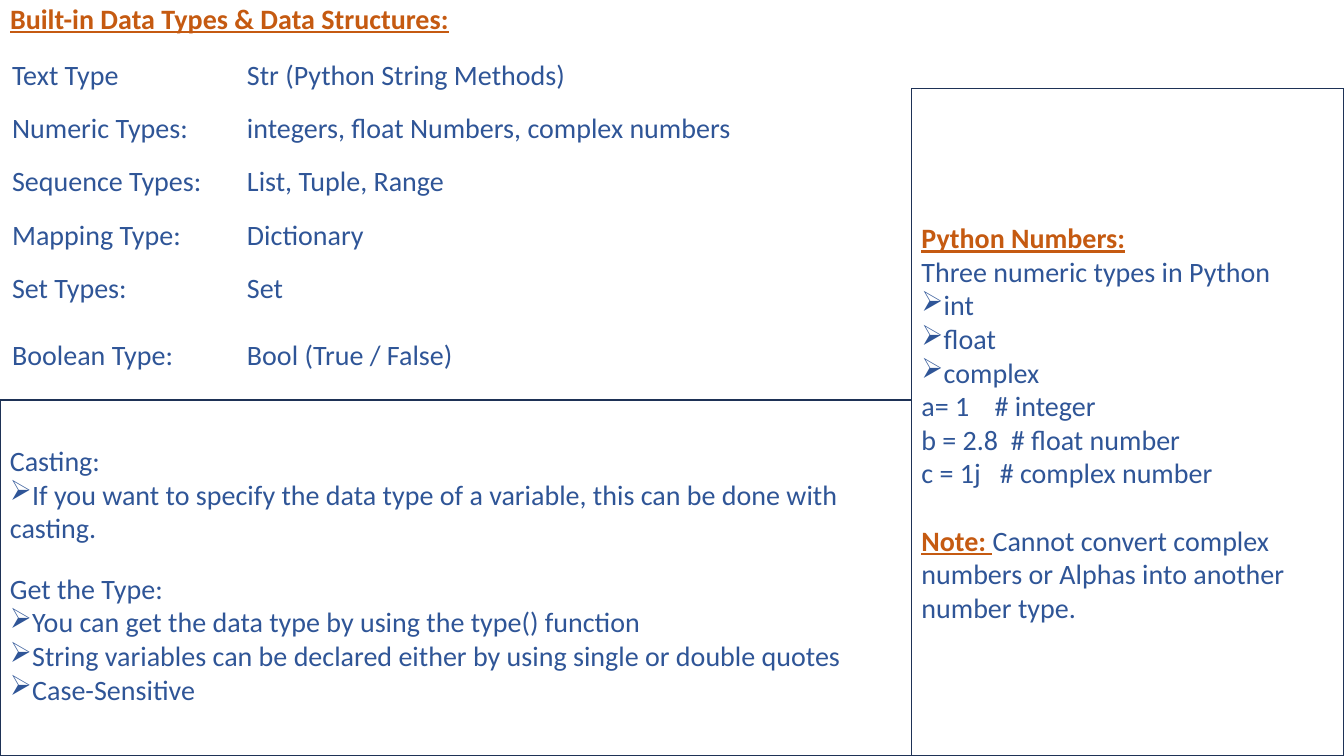
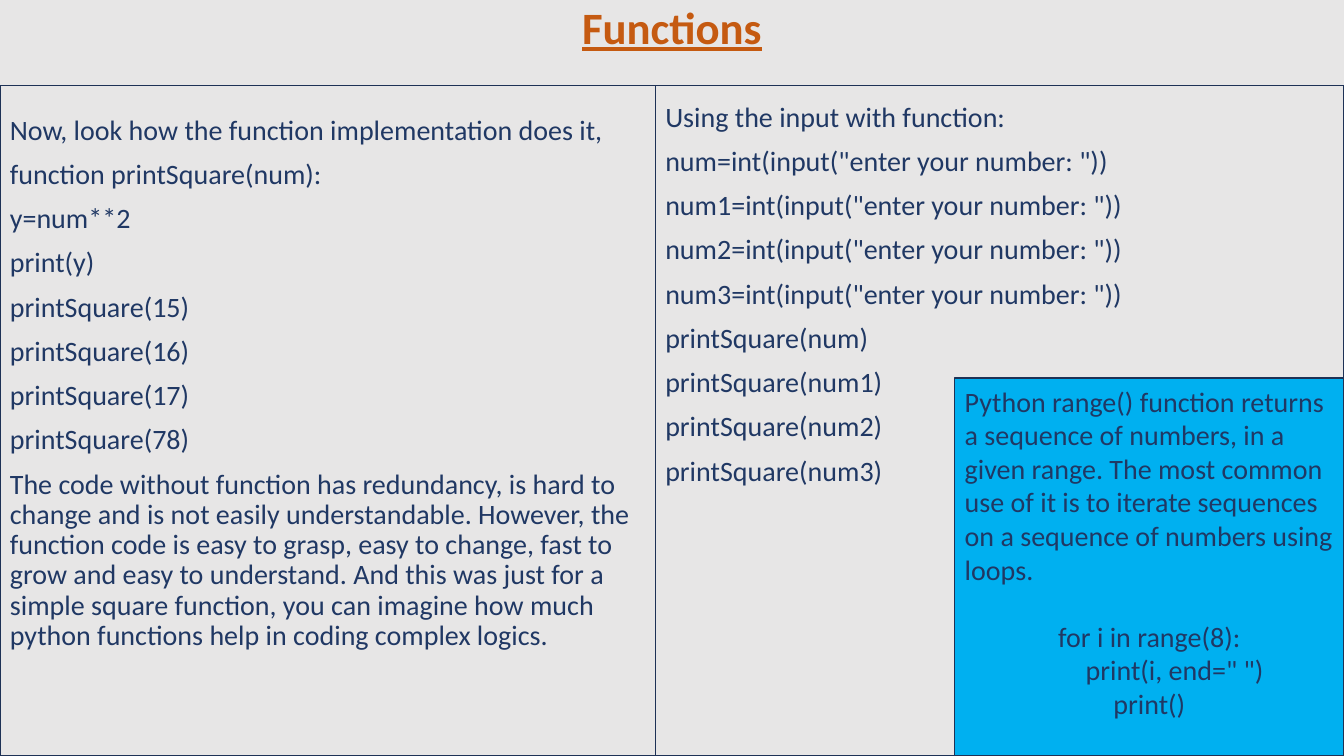
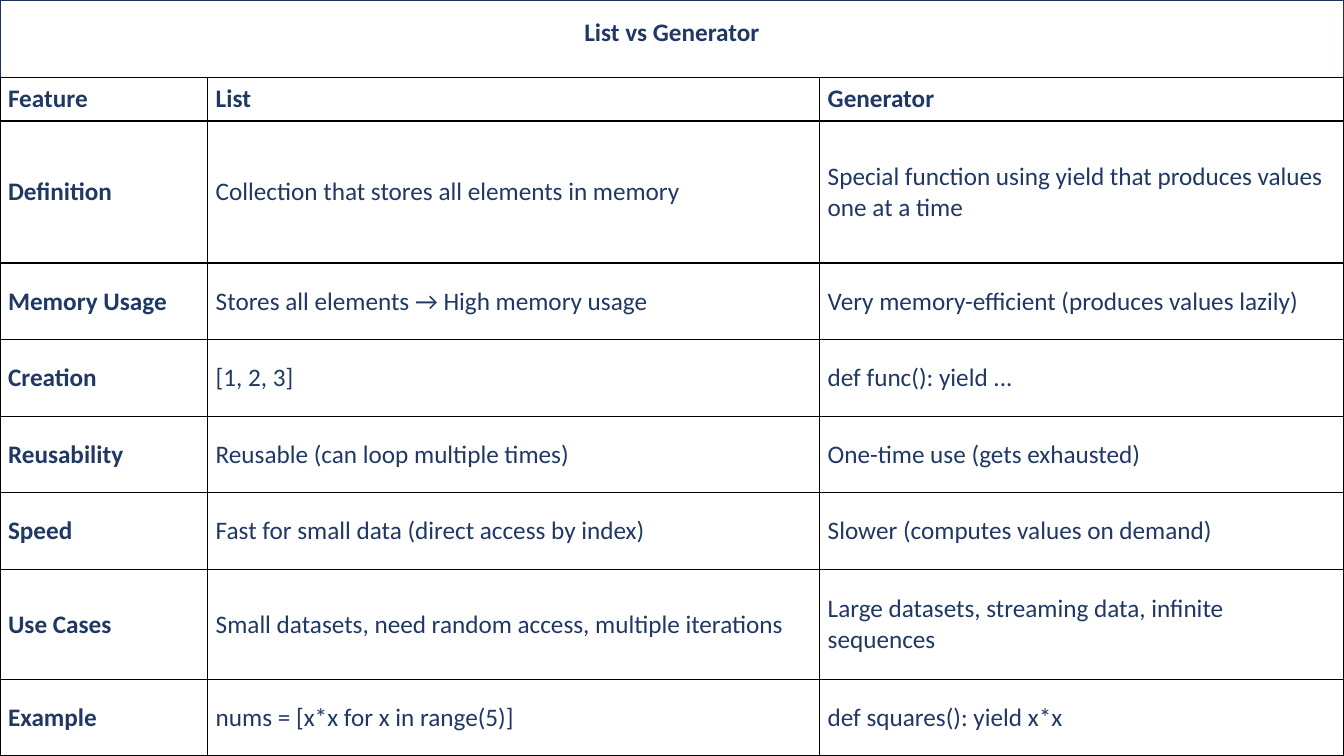
"""Build three slides on Python data types, functions and generators."""
from lxml import etree
from pptx import Presentation
from pptx import util as u
from pptx.dml.color import RGBColor
from pptx.enum import shapes, text
from pptx.oxml.ns import qn

WIDTH, HEIGHT = 13.33, 7.5
FONT = "Calibri"
ORANGE, BLUE, NAVY, BORDER = "C55A11", "2F5597", "203864", "1E3256"
WHITE, GREY, SKY, BLACK = "FFFFFF", "E7E6E6", "00B0F0", "000000"
HEADING = dict(color=ORANGE, bold=True, underline=True)
BULLET = dict(bullet="➢")
BLOCK_GAP = 24
CENTER = text.PP_ALIGN.CENTER
TOP, MIDDLE = text.MSO_ANCHOR.TOP, text.MSO_ANCHOR.MIDDLE

DATA_TYPES = [
    ("Text Type", "Str (Python String Methods)"),
    ("Numeric Types:", "integers, float Numbers, complex numbers"),
    ("Sequence Types:", "List, Tuple, Range"),
    ("Mapping Type:", "Dictionary"),
    ("Set Types:", "Set"),
    ("Boolean Type:", "Bool (True / False)"),
]
CASTING = [
    ("Casting:", dict(spacing=0.8)),
    ("If you want to specify the data type of a variable, this can be done with casting.", BULLET),
    ("Get the Type:", dict(spacing=0.8, before=BLOCK_GAP)),
    ("You can get the data type by using the type() function", BULLET),
    ("String variables can be declared either by using single or double quotes", BULLET),
    ("Case-Sensitive", BULLET),
]
NUMBERS = [
    ("Python Numbers:", HEADING),
    "Three numeric types in Python",
    ("int", BULLET),
    ("float", BULLET),
    ("complex", BULLET),
    "a= 1    # integer",
    "b = 2.8  # float number",
    "c = 1j   # complex number",
    ([("Note: ", HEADING),
      ("Cannot convert complex numbers or Alphas into another number type.", {})],
     dict(before=BLOCK_GAP)),
]
FUNCTION_CODE = [
    "Now, look how the function implementation does it,",
    "function printSquare(num):",
    "y=num**2",
    "print(y)",
    *[f"printSquare({number})" for number in (15, 16, 17, 78)],
    "The code without function has redundancy, is hard to change and is not easily "
    "understandable. However, the function code is easy to grasp, easy to change, fast to "
    "grow and easy to understand. And this was just for a simple square function, you can "
    "imagine how much python functions help in coding complex logics.",
]
VARIABLES = ("num", "num1", "num2", "num3")
INPUT_CODE = [
    "Using the input with function:",
    *[f'{name}=int(input("enter your number: "))' for name in VARIABLES],
    *[f"printSquare({name})" for name in VARIABLES],
]
RANGE_NOTE = [
    "Python range() function returns a sequence of numbers, in a given range. The most common "
    "use of it is to iterate sequences on a sequence of numbers using loops.",
    ("for i in range(8):", dict(align=CENTER, before=BLOCK_GAP)),
    ('\tprint(i, end=" ")', dict(align=CENTER)),
    ("print()", dict(align=CENTER)),
]
COMPARISON = [
    ("Feature", "List", "Generator"),
    ("Definition", "Collection that stores all elements in memory",
     "Special function using yield that produces values one at a time"),
    ("Memory Usage", "Stores all elements → High memory usage",
     "Very memory-efficient (produces values lazily)"),
    ("Creation", "[1, 2, 3]", "def func(): yield ..."),
    ("Reusability", "Reusable (can loop multiple times)", "One-time use (gets exhausted)"),
    ("Speed", "Fast for small data (direct access by index)",
     "Slower (computes values on demand)"),
    ("Use Cases", "Small datasets, need random access, multiple iterations",
     "Large datasets, streaming data, infinite sequences"),
    ("Example", "nums = [x*x for x in range(5)]", "def squares(): yield x*x"),
]


def rgb(value):
    """Turn a hex string into a colour."""
    return RGBColor.from_string(value)


def add_text(paragraph, content, size=20, color=NAVY, bold=False, underline=False,
             align=text.PP_ALIGN.LEFT, spacing=1.0, before=0, bullet=None):
    """Fill a paragraph with a string, or with (string, format) runs."""
    paragraph.alignment = align
    paragraph.line_spacing = spacing
    paragraph.space_before = u.Pt(before)
    if bullet:
        properties = paragraph._p.get_or_add_pPr()
        etree.SubElement(properties, qn("a:buChar")).set("char", bullet)
    runs = [(content, {})] if isinstance(content, str) else content
    for words, changes in runs:
        look = dict(color=color, bold=bold, underline=underline) | changes
        run = paragraph.add_run()
        run.text = words
        run.font.name, run.font.size = FONT, u.Pt(size)
        run.font.bold, run.font.underline = look["bold"], look["underline"]
        run.font.color.rgb = rgb(look["color"])


def fill_frame(frame, paragraphs, anchor=MIDDLE, inset=0.05, **base):
    """Write paragraphs into a text frame; the first gets no space before."""
    frame.word_wrap = True
    frame.auto_size = text.MSO_AUTO_SIZE.NONE
    frame.vertical_anchor = anchor
    frame.margin_top = u.Inches(inset)
    for index, item in enumerate(paragraphs):
        content, changes = (item, {}) if isinstance(item, str) else item
        look = base | changes
        if index == 0:
            look["before"] = 0
        paragraph = frame.add_paragraph() if index else frame.paragraphs[0]
        add_text(paragraph, content, **look)


def paint(shape, fill, line=None):
    """Set the fill and the outline of a shape."""
    shape.fill.solid()
    shape.fill.fore_color.rgb = rgb(fill)
    if line:
        shape.line.color.rgb = rgb(line)
        shape.line.width = u.Pt(1)


def add_page(presentation, title, fill=WHITE, line=None, **look):
    """Add a slide whose title placeholder is the full-page panel."""
    slide = presentation.slides.add_slide(presentation.slide_layouts[5])
    shape = slide.shapes.title
    shape.left, shape.top = 0, 0
    shape.width, shape.height = u.Inches(WIDTH), u.Inches(HEIGHT)
    paint(shape, fill, line)
    fill_frame(shape.text_frame, [title], anchor=TOP, **look)
    return slide


def add_panel(slide, left, top, right, paragraphs, fill=WHITE, **look):
    """Add an outlined panel reaching to the bottom of the slide."""
    box = [u.Inches(value) for value in (left, top, right - left, HEIGHT - top)]
    shape = slide.shapes.add_shape(shapes.MSO_SHAPE.RECTANGLE, *box)
    shape.shadow.inherit = False
    paint(shape, fill, BORDER)
    fill_frame(shape.text_frame, paragraphs, **look)


def add_border(cell):
    """Draw a thin black line on every side of a cell."""
    properties = cell._tc.get_or_add_tcPr()
    for position, side in enumerate(("a:lnL", "a:lnR", "a:lnT", "a:lnB")):
        line = etree.Element(qn(side), w=str(u.Pt(1)))
        fill = etree.SubElement(line, qn("a:solidFill"))
        etree.SubElement(fill, qn("a:srgbClr"), val=BLACK)
        properties.insert(position, line)


def add_grid(slide, top, columns, heights, rows, margins, first_margin=None,
             anchor=TOP, bordered=False, bold_heads=False, **look):
    """Add a plain table at the left edge of the slide."""
    box = [u.Inches(value) for value in (0, top, sum(columns), sum(heights))]
    table = slide.shapes.add_table(len(rows), len(columns), *box).table
    table.first_row = table.horz_banding = False
    for column, width in zip(table.columns, columns):
        column.width = u.Inches(width)
    for row, height in zip(table.rows, heights):
        row.height = u.Inches(height)
    side, edge = margins
    for i, values in enumerate(rows):
        for j, value in enumerate(values):
            cell = table.cell(i, j)
            cell.margin_left = u.Inches(first_margin if first_margin and j == 0 else side)
            cell.margin_right = u.Inches(side)
            cell.margin_top = cell.margin_bottom = u.Inches(edge)
            cell.vertical_anchor = anchor
            cell.fill.solid()
            cell.fill.fore_color.rgb = rgb(WHITE)
            if bordered:
                add_border(cell)
            add_text(cell.text_frame.paragraphs[0], value,
                     bold=bold_heads and 0 in (i, j), **look)


def build_data_types(presentation):
    """Lay out the data types table with casting and number panels."""
    split = 9.04
    slide = add_page(presentation, "Built-in Data Types & Data Structures:",
                     spacing=0.9, **HEADING)
    add_grid(slide, 0.52, (2.39, split - 2.39), [0.53] * 4 + [0.66] * 2, DATA_TYPES,
             margins=(0.06, 0.06), first_margin=0.12, color=BLUE)
    add_panel(slide, 0, 3.97, split, CASTING, color=BLUE)
    add_panel(slide, split, 0.88, WIDTH, NUMBERS, color=BLUE)


def build_functions(presentation):
    """Lay out two code panels with a note on range()."""
    split, top = 6.5, 0.85
    slide = add_page(presentation, "Functions", fill=GREY, inset=0.06, size=32,
                     align=CENTER, spacing=0.9, **HEADING)
    for left, right, lines, inset in ((0, split, FUNCTION_CODE, 0.3),
                                      (split, WIDTH, INPUT_CODE, 0.17)):
        add_panel(slide, left, top, right, lines, fill=GREY, anchor=TOP,
                  inset=inset, spacing=0.9, before=10)
    add_panel(slide, 9.47, HEIGHT / 2, WIDTH, RANGE_NOTE, fill=SKY, anchor=TOP, inset=0.06)


def build_comparison(presentation):
    """Lay out the table that compares lists with generators."""
    slide = add_page(presentation, "List vs Generator", line=BORDER, inset=0.16, size=18,
                     bold=True, align=CENTER)
    add_grid(slide, 0.77, (2.06, 6.07, 5.2), [0.43, 1.41] + [0.76] * 4 + [1.09, 0.76],
             COMPARISON, margins=(0.08, 0.04), anchor=MIDDLE, bordered=True,
             bold_heads=True, size=18)


def main():
    """Build and save the presentation."""
    presentation = Presentation()
    presentation.slide_width, presentation.slide_height = u.Inches(WIDTH), u.Inches(HEIGHT)
    build_data_types(presentation)
    build_functions(presentation)
    build_comparison(presentation)
    presentation.save("out.pptx")


if __name__ == "__main__":
    main()
